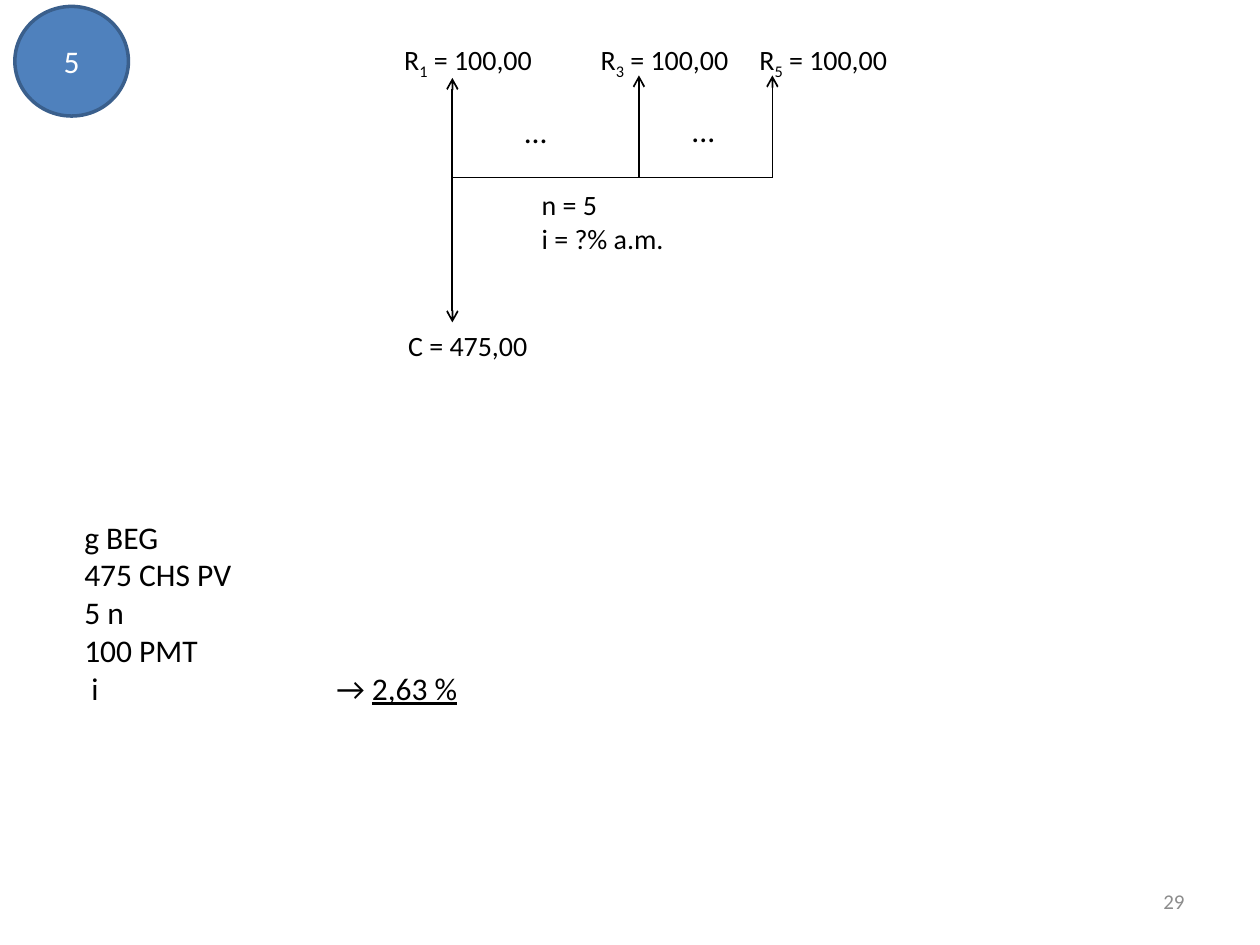
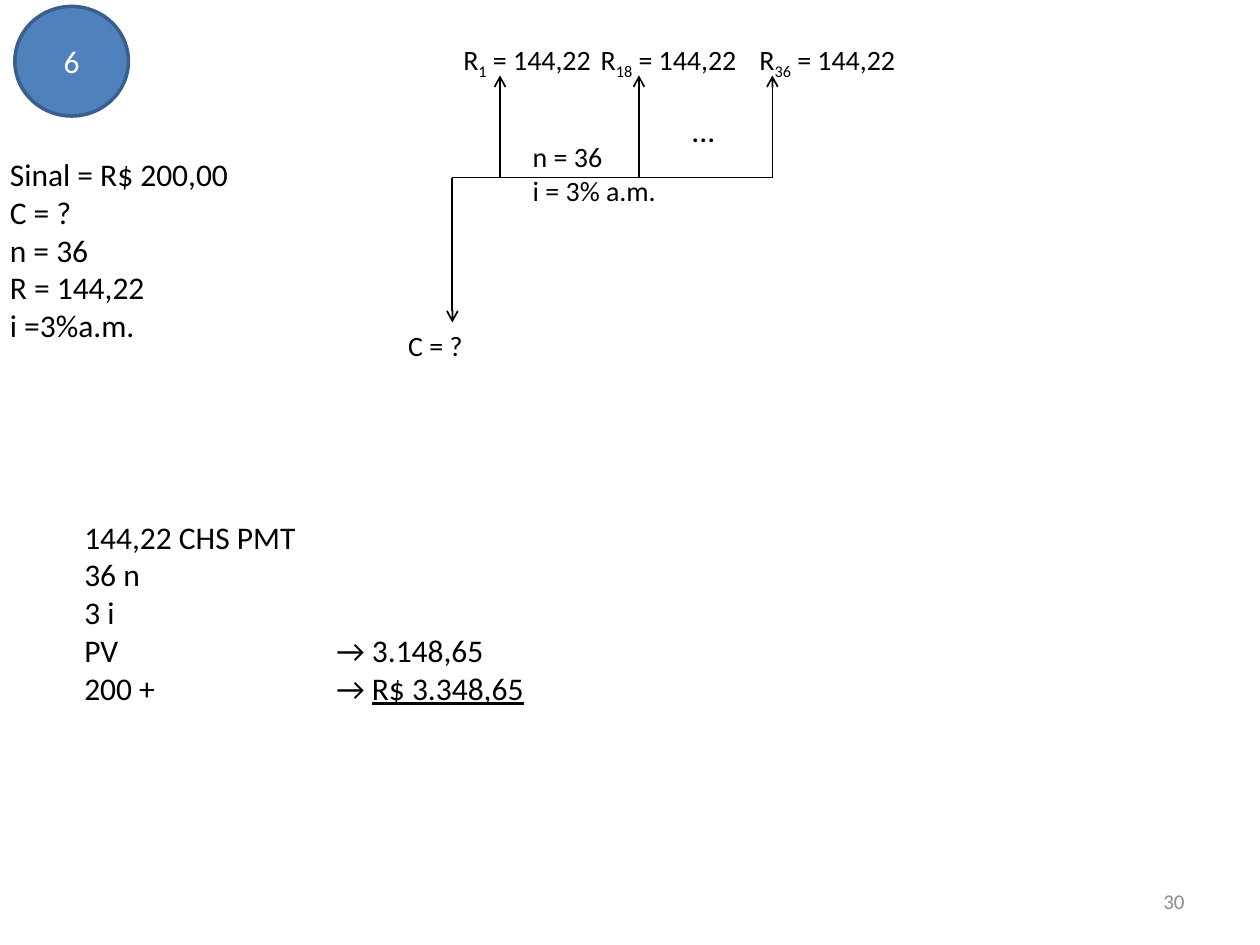
from lxml.etree import SubElement
from pptx import Presentation
from pptx.dml.color import RGBColor
from pptx.enum.shapes import MSO_CONNECTOR, MSO_SHAPE
from pptx.enum.text import MSO_ANCHOR, MSO_AUTO_SIZE, PP_ALIGN
from pptx.oxml.ns import qn
from pptx.util import Cm, Pt

FONT = "Calibri"
BLACK, WHITE, GREY = "000000", "FFFFFF", "8C8C8C"
BLUE, DARK_BLUE = "4F81BD", "3A5F8C"
ORIGIN_X, BASE_Y, END_X = 9.12, 3.58, 15.57
ARROW_TOP, CAPITAL_Y = 1.52, 6.5
LABEL_Y = 0.74

# Payments: label left, label width, index, amount. Arrows: x, start y, end y.
# Texts: left, top, width, size, lines. A tuple is (plain text, underlined text).
exercises = [
    {
        "number": "5",
        "payments": [(7.9, 3.15, "1", "100,00"), (11.86, 3.15, "3", "100,00"),
                     (15.06, 3.15, "5", "100,00")],
        "first_arrow": (ORIGIN_X, 3.66, 1.57),
        "texts": [
            (7.98, CAPITAL_Y, 2.95, 16, ["C = 475,00"]),
            (10.67, 3.66, 3.02, 16, ["n = 5", "i = ?% a.m."]),
            (13.69, 2.11, 0.99, 18, ["..."]),
            (10.31, 2.13, 0.99, 18, ["..."]),
            (1.45, 10.31, 8.15, 18, ["g BEG", "475 CHS PV", "5 n", "100 PMT",
                                     (" i\t→ ", "2,63 %")]),
        ],
    },
    {
        "number": "6",
        "payments": [(9.09, 3.15, "1", "144,22"), (11.86, 3.35, "18", "144,22"),
                     (15.06, 3.35, "36", "144,22")],
        "first_arrow": (10.08, BASE_Y, ARROW_TOP),
        "texts": [
            (7.98, CAPITAL_Y, 1.63, 16, ["C = ?"]),
            (10.49, 2.69, 3.02, 16, ["n = 36", "i = 3% a.m."]),
            (13.69, 2.11, 0.99, 18, ["..."]),
            (-0.05, 3.0, 4.98, 18, ["Sinal = R$ 200,00", "C = ?", "n = 36",
                                    "R = 144,22", "i =3%a.m."]),
            (1.45, 10.31, 9.5, 18, ["144,22 CHS PMT", "36 n", "3 i", "PV\t→ 3.148,65",
                                    ("200 +\t→ ", "R$ 3.348,65")]),
        ],
    },
]


def style(p, size, color=BLACK):
    p.font.name = FONT
    p.font.size = Pt(size)
    p.font.color.rgb = RGBColor.from_string(color)


def add_box(s, left, top, width, height):
    """Add an unwrapped text box (lengths in cm) and return its text frame."""
    tf = s.shapes.add_textbox(Cm(left), Cm(top), Cm(width), Cm(height)).text_frame
    tf.word_wrap = False
    tf.auto_size = MSO_AUTO_SIZE.SHAPE_TO_FIT_TEXT
    return tf


prs = Presentation()
prs.slide_width, prs.slide_height = Cm(25.4), Cm(19.05)
prs.element.set("firstSlideNum", "29")

for page, exercise in enumerate(exercises, start=29):
    s = prs.slides.add_slide(prs.slide_layouts[6])

    # Exercise badge
    sp = s.shapes.add_shape(MSO_SHAPE.OVAL, Cm(0.3), Cm(0.13), Cm(2.29), Cm(2.21))
    sp.shadow.inherit = False
    sp.fill.solid()
    sp.fill.fore_color.rgb = RGBColor.from_string(BLUE)
    sp.line.color.rgb = RGBColor.from_string(DARK_BLUE)
    sp.line.width = Pt(2)
    sp.text_frame.vertical_anchor = MSO_ANCHOR.MIDDLE
    p = sp.text_frame.paragraphs[0]
    p.text = exercise["number"]
    p.alignment = PP_ALIGN.CENTER
    style(p, 18, WHITE)

    # Cash flow: time axis, then capital and payment arrows
    arrows = [(ORIGIN_X, BASE_Y, CAPITAL_Y), (END_X, BASE_Y, ARROW_TOP),
              (12.88, BASE_Y, ARROW_TOP), exercise["first_arrow"]]
    lines = [(ORIGIN_X, BASE_Y, END_X, BASE_Y)] + [(x, y1, x, y2) for x, y1, y2 in arrows]
    for x1, y1, x2, y2 in lines:
        line = s.shapes.add_connector(MSO_CONNECTOR.STRAIGHT, Cm(x1), Cm(y1), Cm(x2), Cm(y2))
        line.line.color.rgb = RGBColor.from_string(BLACK)
        line.line.width = Pt(1)
        sp_pr = line.element.spPr
        if x1 == x2:
            SubElement(sp_pr.find(qn("a:ln")), qn("a:tailEnd"), type="arrow")
        SubElement(sp_pr, qn("a:effectLst"))

    for left, width, index, amount in exercise["payments"]:
        p = add_box(s, left, LABEL_Y, width, 0.94).paragraphs[0]
        style(p, 16)
        for text in ("R", index, f" = {amount}"):
            r = p.add_run()
            r.text = text
            if text == index:
                r.font._element.set("baseline", "-25000")

    for left, top, width, size, rows in exercise["texts"]:
        tf = add_box(s, left, top, width, 0.25 + 0.0431 * size * len(rows))
        for i, row in enumerate(rows):
            p = tf.add_paragraph() if i else tf.paragraphs[0]
            plain, underlined = row if isinstance(row, tuple) else (row, "")
            if "\t" in plain:
                tabs = SubElement(p._p.get_or_add_pPr(), qn("a:tabLst"))
                SubElement(tabs, qn("a:tab"), pos=str(Cm(5.08)), algn="l")
            style(p, size)
            p.add_run().text = plain
            if underlined:
                r = p.add_run()
                r.text = underlined
                r.font.underline = True

    # Slide number field
    tf = add_box(s, 18.21, 17.65, 5.92, 1.02)
    tf.word_wrap = True
    tf.auto_size = MSO_AUTO_SIZE.NONE
    tf.vertical_anchor = MSO_ANCHOR.MIDDLE
    p = tf.paragraphs[0]
    p.alignment = PP_ALIGN.RIGHT
    style(p, 12, GREY)
    field = SubElement(p._p, qn("a:fld"), type="slidenum",
                       id="{B6F15528-21DE-4FAA-801E-634DDDAF4B2B}")
    # The field takes its look from its own run properties
    r = p.add_run()
    r.font.name, r.font.size = FONT, Pt(12)
    r.font.color.rgb = RGBColor.from_string(GREY)
    field.append(r.font._element)
    p._p.remove(r._r)
    SubElement(field, qn("a:t")).text = str(page)

prs.save("out.pptx")
